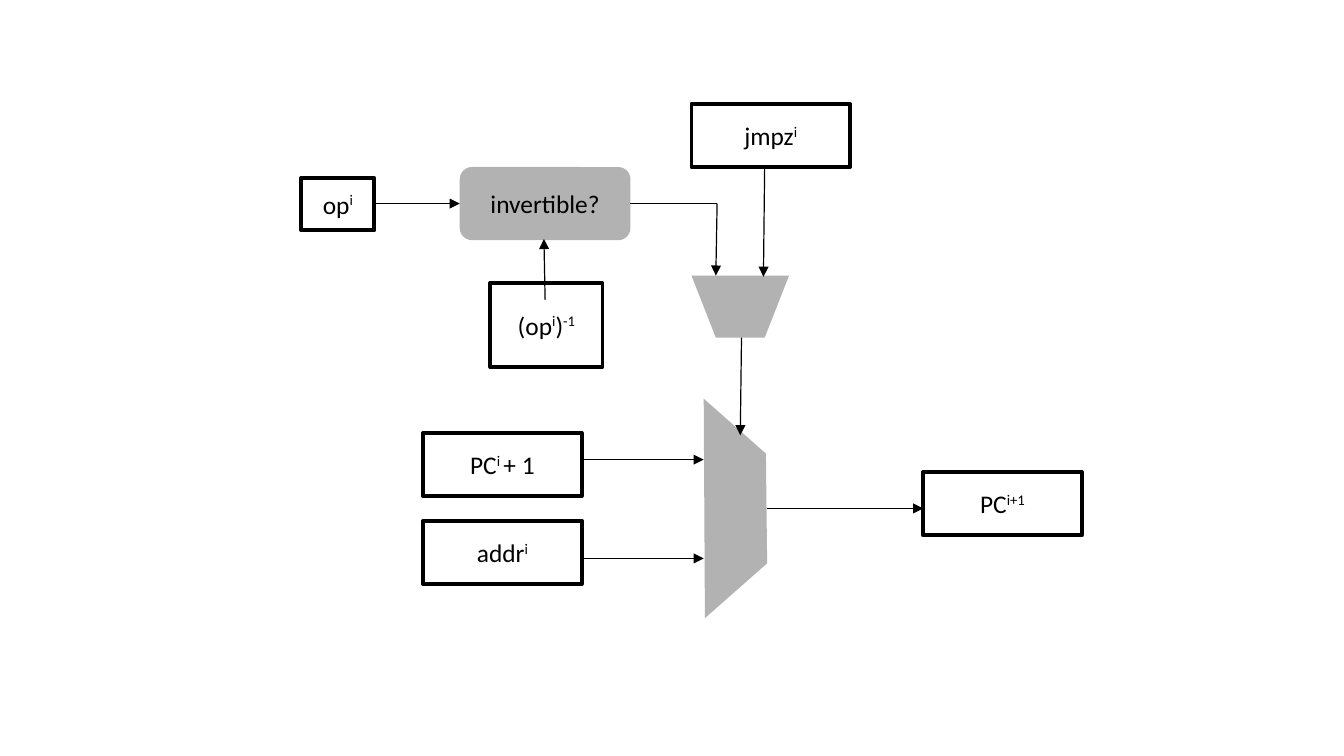
from dataclasses import dataclass

from lxml import etree
from pptx import Presentation
from pptx import util as u
from pptx.dml.color import RGBColor
from pptx.enum import shapes, text
from pptx.oxml.ns import qn

BLACK = RGBColor(0x00, 0x00, 0x00)
GREY = RGBColor(0xB2, 0xB2, 0xB2)
GRID = 0.1  # inches per grid column and row
WIDE, HIGH = 13, 5.2  # register size in grid units


@dataclass
class Region:
    """Part of the slide on which shapes are placed in grid units."""
    s: object
    left: float
    top: float

    def at(self, col, row):
        return u.Inches(self.left + col * GRID), u.Inches(self.top + row * GRID)

    def label(self, sp, runs, wrap=True):
        """Centre the runs, given as (words, is superscript)."""
        tf = sp.text_frame
        tf.word_wrap = wrap
        tf.vertical_anchor = text.MSO_ANCHOR.MIDDLE
        tf.margin_left = tf.margin_right = u.Inches(0.11)
        tf.margin_top = tf.margin_bottom = u.Inches(0.06)
        p = tf.paragraphs[0]
        p.alignment = text.PP_ALIGN.CENTER
        for words, raised in runs:
            r = p.add_run()
            r.text = words
            r.font.name = "Calibri"
            r.font.size = u.Pt(15)
            r.font.color.rgb = BLACK
            if raised:
                r._r.get_or_add_rPr().set("baseline", "33000")

    def shape(self, kind, col, row, cols, rows):
        sp = self.s.shapes.add_shape(kind, *self.at(col, row),
                                     u.Inches(cols * GRID), u.Inches(rows * GRID))
        sp.shadow.inherit = False
        return sp

    def register(self, col, row, runs, cols=WIDE, rows=HIGH):
        """Outlined box that holds a value."""
        sp = self.shape(shapes.MSO_SHAPE.RECTANGLE, col, row, cols, rows)
        sp.fill.background()
        sp.line.color.rgb = BLACK
        sp.line.width = u.Pt(2.27)
        etree.SubElement(sp.line._get_or_add_ln(), qn("a:round"))
        self.label(sp, runs)

    def test(self, col, row, cols, rows, words):
        """Rounded grey box that holds a question."""
        sp = self.shape(shapes.MSO_SHAPE.ROUNDED_RECTANGLE, col, row, cols, rows)
        sp.adjustments[0] = 0.167
        sp.fill.solid()
        sp.fill.fore_color.rgb = GREY
        sp.line.fill.background()
        self.label(sp, [(words, False)], wrap=False)

    def gate(self, *corners):
        """Grey trapezoid through the given corners."""
        first, *others = [self.at(*corner) for corner in corners]
        outline = self.s.shapes.build_freeform(*first)
        outline.add_line_segments(others, close=True)
        sp = outline.convert_to_shape()
        sp.shadow.inherit = False
        sp.fill.solid()
        sp.fill.fore_color.rgb = GREY
        sp.line.fill.background()

    def wire(self, start, end, arrow=True):
        line = self.s.shapes.add_connector(shapes.MSO_CONNECTOR.STRAIGHT,
                                           *self.at(*start), *self.at(*end))
        line.line.color.rgb = BLACK
        line.line.width = u.Pt(0.71)
        if arrow:
            etree.SubElement(line.line._get_or_add_ln(), qn("a:tailEnd"), type="triangle")
        etree.SubElement(line._element.spPr, qn("a:effectLst"))


def draw_counter_choice(s, left, top):
    """Choice between the next address and the jump address."""
    box = Region(s, left, top)
    box.gate((23.1, 18), (23, 0), (28.1, 4.5), (28.2, 13.5))
    box.register(0, 2.8, [("PC", False), ("i ", True), ("+ 1", False)])
    box.register(0, 10, [("addr", False), ("i", True)])
    box.register(41, 6, [("PC", False), ("i+1", True)])
    for row in (5, 13.1):
        box.wire((WIDE, row), (23, row))
    box.wire((28.2, 9), (41, 9))


def draw_jump_condition(s, left, top):
    """Test of the operation, joined with the jump flag."""
    box = Region(s, left, top)
    box.gate((32, 14.1), (40, 14.1), (38, 19.2), (34, 19.2))
    box.register(32, 0, [("jmpz", False), ("i", True)])
    box.register(15.5, 14.7, [("(op", False), ("i", True), (")", False), ("-1", True)],
                 9.2, 6.9)
    box.register(0, 6.1, [("op", False), ("i", True)], 6, 4.3)
    box.test(13, 5.2, 14, 6, "invertible?")
    box.wire((27, 8.2), (34.1, 8.2), arrow=False)
    for start, end in (((6, 8.2), (13, 8.2)),
                       ((20, 16.1), (19.9, 11.1)),
                       ((34.1, 8.2), (34, 14.1)),
                       ((38, 5.2), (37.9, 14.2)),
                       ((36.1, 19.2), (36, 27.2))):
        box.wire(start, end)


def main():
    prs = Presentation()
    prs.slide_width, prs.slide_height = u.Inches(11.02), u.Inches(6.2)
    s = prs.slides.add_slide(prs.slide_layouts[6])
    draw_counter_choice(s, 3.47, 3.27)
    draw_jump_condition(s, 2.47, 0.85)
    prs.save("out.pptx")


if __name__ == "__main__":
    main()
